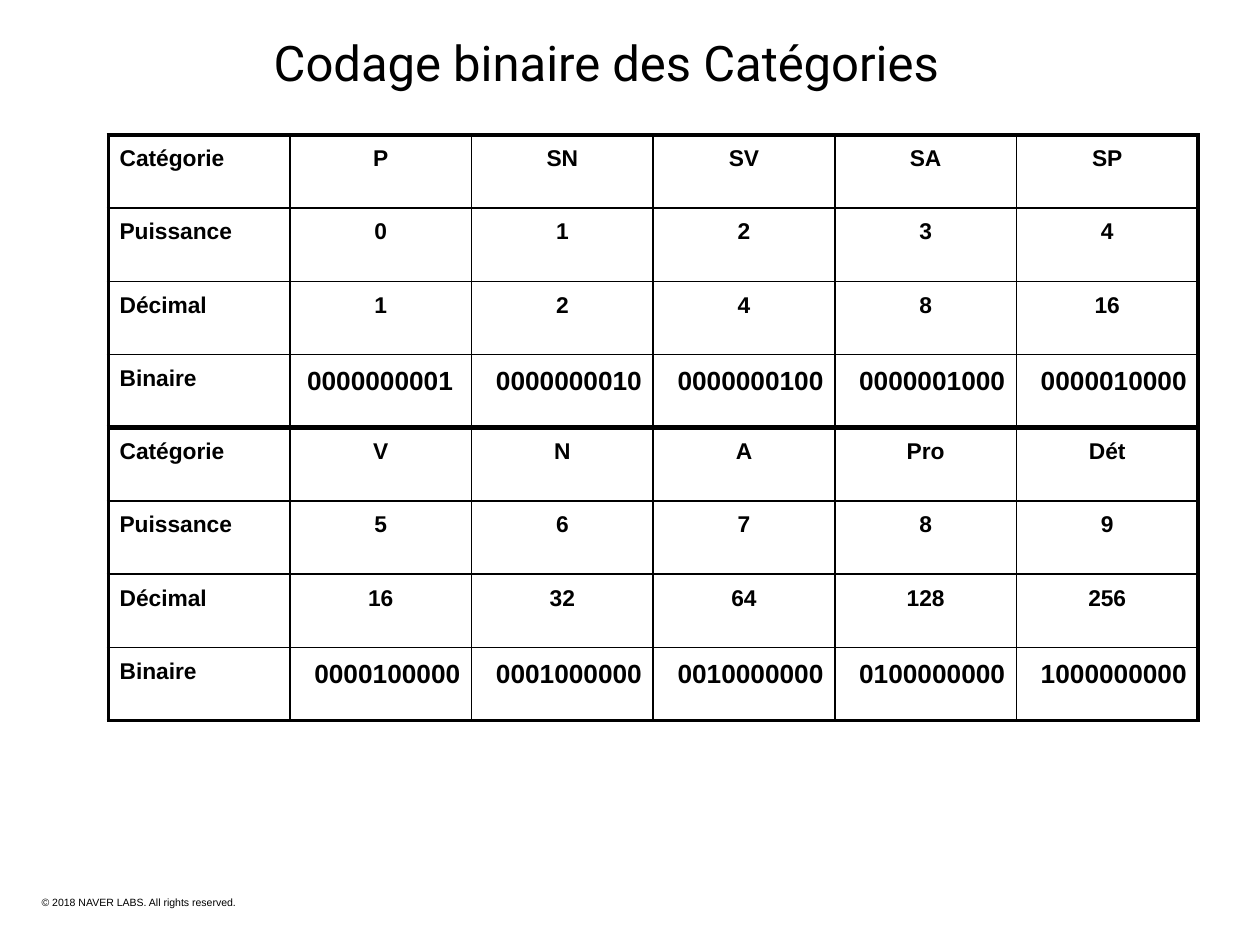
import lxml.etree
import pptx
import pptx.dml.color
import pptx.enum.text
import pptx.oxml.ns
import pptx.util

Inches = pptx.util.Inches
Pt = pptx.util.Pt
ALIGN = pptx.enum.text.PP_ALIGN
ANCHOR = pptx.enum.text.MSO_ANCHOR
AUTO = pptx.enum.text.MSO_AUTO_SIZE

BLACK = "000000"
THIN, OUTER, DIVIDER = 1, 2.25, 3
BLOCK_ROWS = 4
ROWS = [
    ["Catégorie", "P", "SN", "SV", "SA", "SP"],
    ["Puissance", "0", "1", "2", "3", "4"],
    ["Décimal", "1", "2", "4", "8", "16"],
    ["Binaire", "0000000001 ", "0000000010", "0000000100", "0000001000", "0000010000"],
    ["Catégorie", "V", "N", "A", "Pro", "Dét"],
    ["Puissance", "5", "6", "7", "8", "9"],
    ["Décimal", "16", "32", "64", "128", "256"],
    ["Binaire", "0000100000", "0001000000", "0010000000", "0100000000", "1000000000"],
]


def color(value):
    return pptx.dml.color.RGBColor.from_string(value)


def apply(obj, values):
    for name, value in values.items():
        setattr(obj, name, value)


def write(tf, text, font, para):
    p = tf.paragraphs[0]
    apply(p, para)
    r = p.add_run()
    r.text = text
    apply(r.font, font)
    r.font.color.rgb = color(BLACK)


def margins(value):
    sides = ("left", "top", "right", "bottom")
    return {f"margin_{side}": Inches(value) for side in sides}


def set_borders(cell, widths):
    tcPr = cell._tc.get_or_add_tcPr()
    for i, (side, width) in enumerate(widths.items()):
        ln = lxml.etree.Element(pptx.oxml.ns.qn(f"a:ln{side}"), w=str(Pt(width)))
        fill = lxml.etree.SubElement(ln, pptx.oxml.ns.qn("a:solidFill"))
        lxml.etree.SubElement(fill, pptx.oxml.ns.qn("a:srgbClr"), val=BLACK)
        tcPr.insert(i, ln)


def rule_width(i, count):
    if i in (0, count):
        return OUTER
    return DIVIDER if i == BLOCK_ROWS else THIN


def add_title(s, left, top, width, height):
    sp = s.shapes.title
    apply(sp, {"left": left, "top": top, "width": width, "height": height})
    tf = sp.text_frame
    apply(tf, {"word_wrap": True, "auto_size": AUTO.NONE,
               "vertical_anchor": ANCHOR.MIDDLE, **margins(0.04)})
    write(tf, "Codage binaire des Catégories ",
          {"name": "Roboto", "size": Pt(28)}, {"alignment": ALIGN.CENTER})


def add_code_table(s, left, top, width, height):
    n_rows, n_cols = len(ROWS), len(ROWS[0])
    table = s.shapes.add_table(n_rows, n_cols, left, top, width, height).table
    apply(table, {"first_row": False, "horz_banding": False})
    for i, row in enumerate(ROWS):
        for j, text in enumerate(row):
            cell = table.cell(i, j)
            apply(cell, {"margin_left": Inches(0.09), "margin_right": Inches(0.09),
                         "margin_top": Inches(0.05), "margin_bottom": Inches(0.05)})
            cell.fill.background()
            set_borders(cell, {
                "L": OUTER if j == 0 else THIN,
                "R": OUTER if j == n_cols - 1 else THIN,
                "T": rule_width(i, n_rows),
                "B": rule_width(i + 1, n_rows),
            })
            size, align = 13, ALIGN.CENTER
            if j == 0:
                align = ALIGN.LEFT
            elif row[0] == "Binaire":
                size, align = 15, ALIGN.RIGHT
            write(cell.text_frame, text,
                  {"name": "Arial", "size": Pt(size), "bold": True},
                  {"alignment": align, "line_spacing": 1.2, "space_after": Pt(10)})


def add_footer(s, left, top, width, height):
    tf = s.shapes.add_textbox(left, top, width, height).text_frame
    apply(tf, {"word_wrap": True, "auto_size": AUTO.SHAPE_TO_FIT_TEXT, **margins(0.03)})
    write(tf, "© 2018 NAVER LABS. All rights reserved.",
          {"name": "Arial", "size": Pt(6)}, {"alignment": ALIGN.LEFT})


def main():
    prs = pptx.Presentation()
    apply(prs, {"slide_width": Inches(10), "slide_height": Inches(7.5)})
    s = prs.slides.add_slide(prs.slide_layouts[5])
    add_footer(s, Inches(0.3), Inches(7.08), Inches(2.18), Inches(0.14))
    add_title(s, Inches(0.86), Inches(0.28), Inches(8), Inches(0.43))
    add_code_table(s, Inches(0.86), Inches(1.07), Inches(8.65), Inches(4.65))
    prs.save("out.pptx")


if __name__ == "__main__":
    main()
